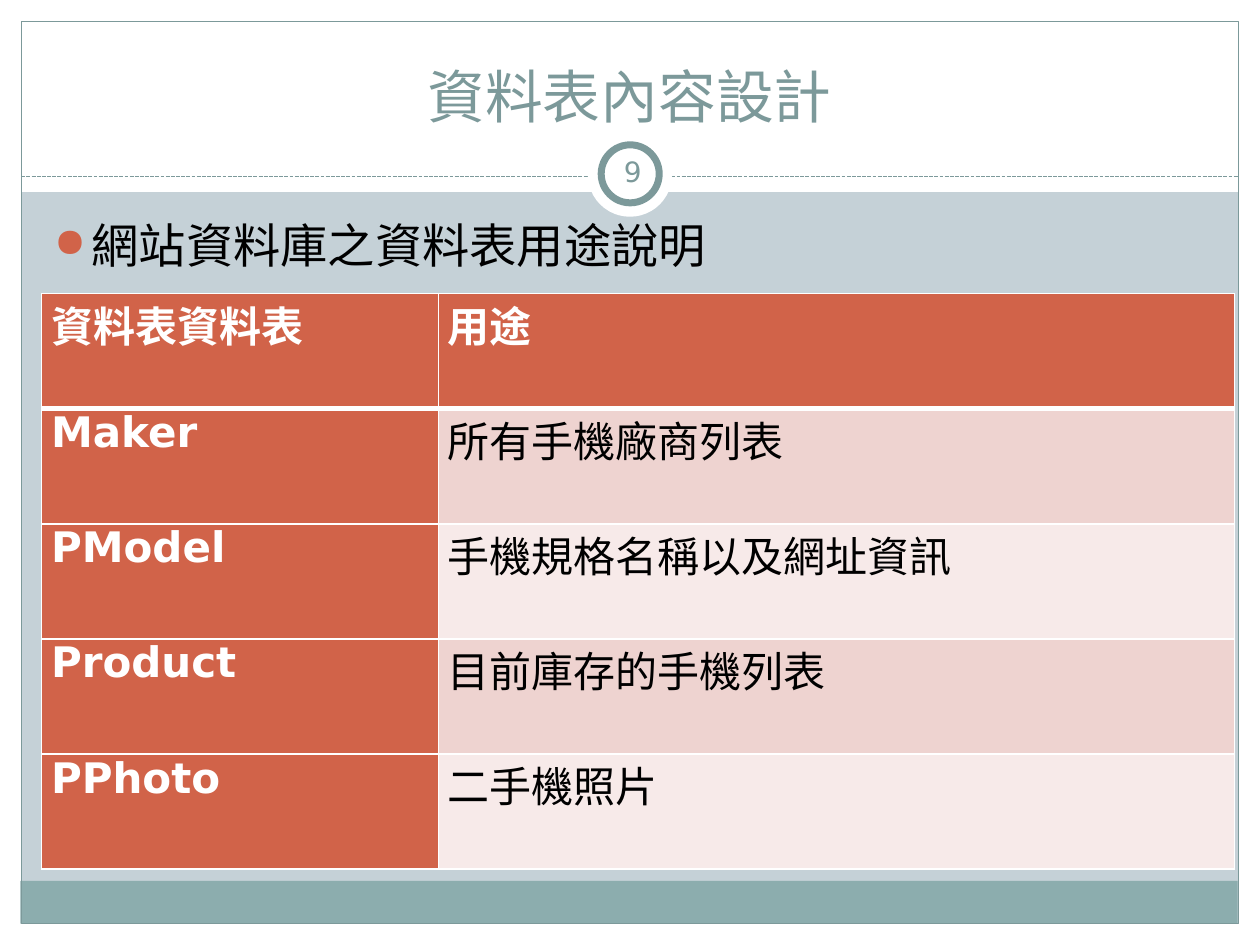
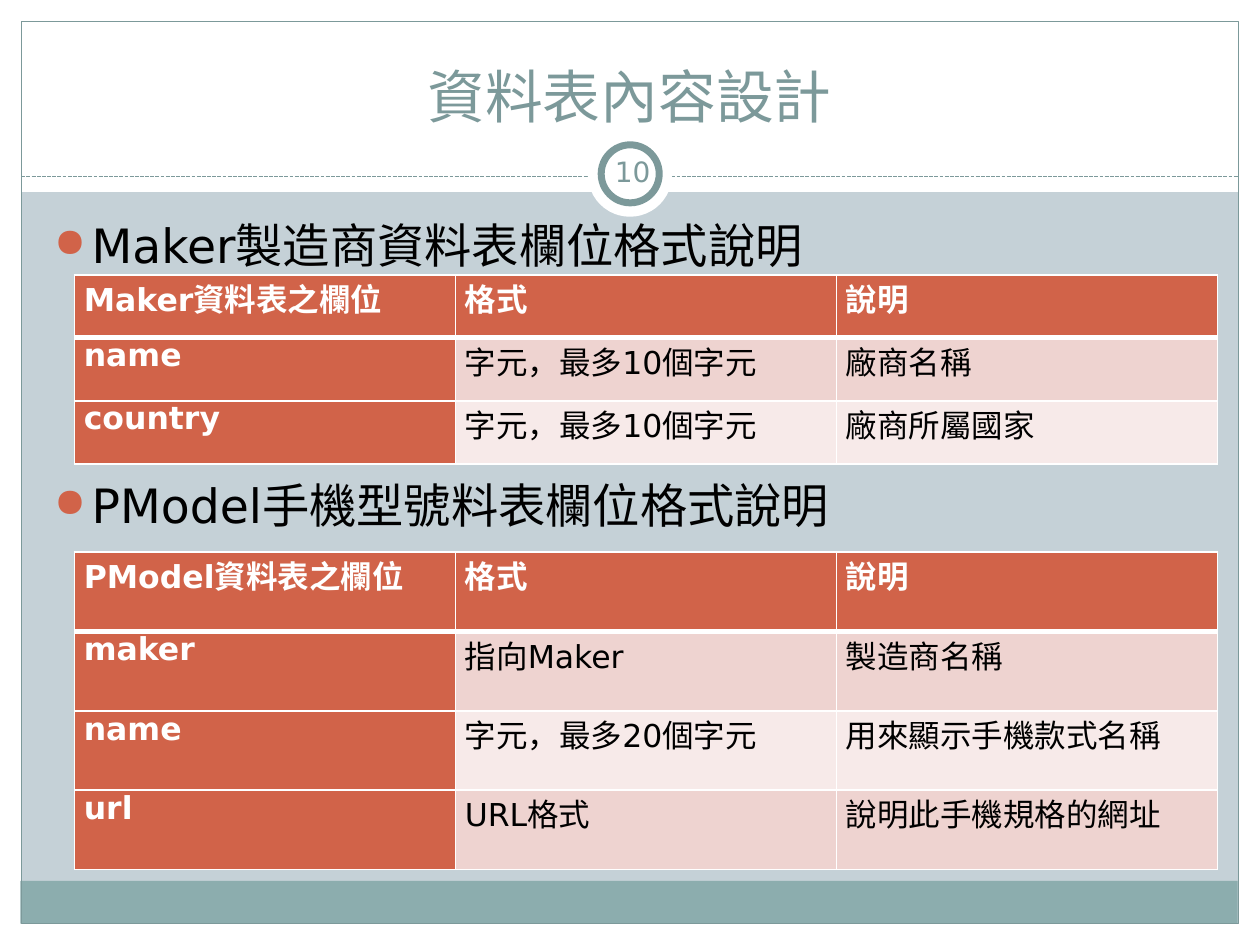
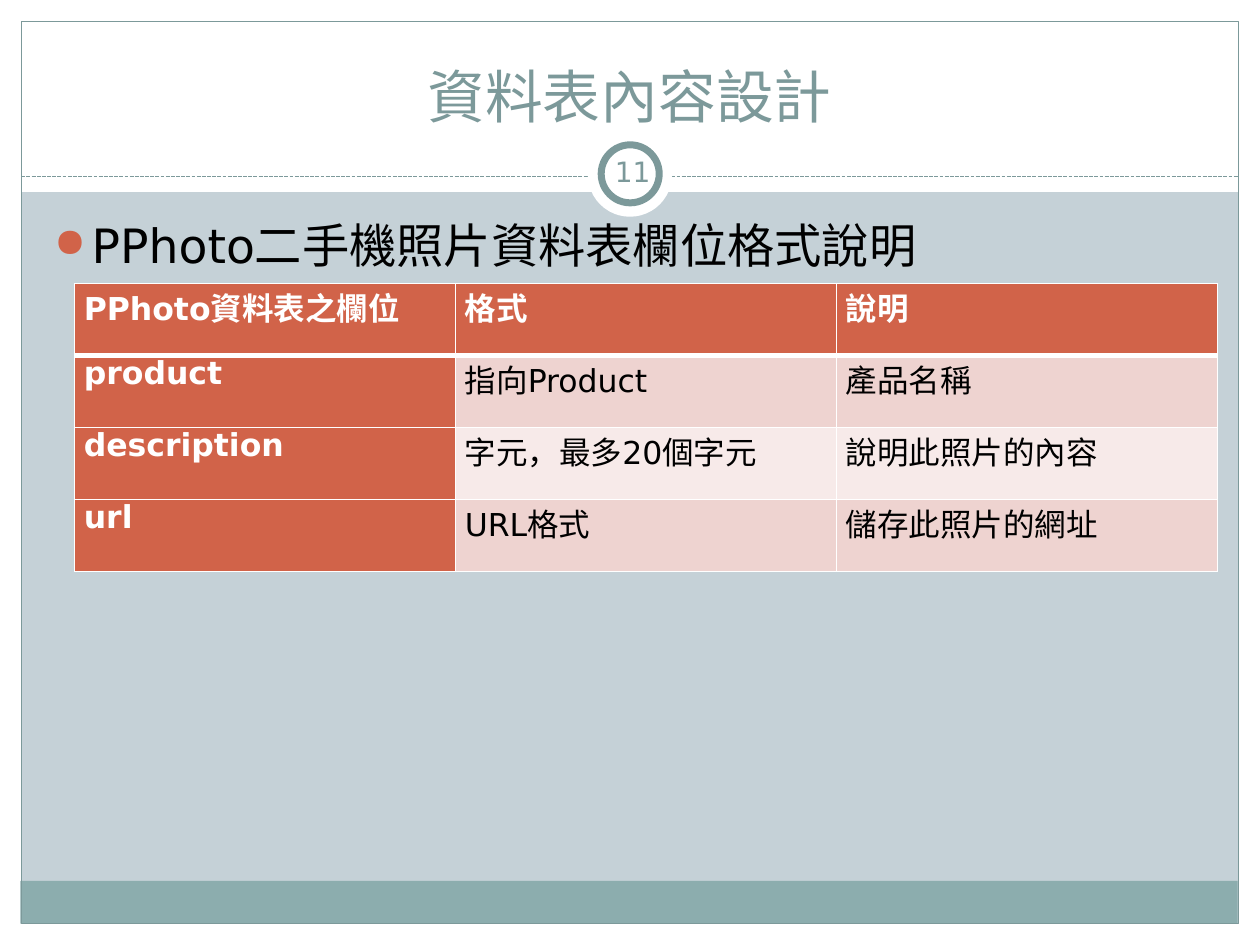
import dataclasses
import typing

import lxml.etree
import pptx
import pptx.dml.color
import pptx.enum.dml
import pptx.enum.shapes
import pptx.enum.text
import pptx.oxml.ns
import pptx.util

Cm = pptx.util.Cm
Pt = pptx.util.Pt
RGB = pptx.dml.color.RGBColor
Shape = pptx.enum.shapes.MSO_SHAPE
Align = pptx.enum.text.PP_ALIGN
Anchor = pptx.enum.text.MSO_ANCHOR
qn = pptx.oxml.ns.qn

WHITE = RGB(0xFF, 0xFF, 0xFF)
BLACK = RGB(0x00, 0x00, 0x00)
BACK = RGB(0xC5, 0xD1, 0xD7)
TEAL = RGB(0x7C, 0x99, 0x9A)
BAND = RGB(0x8C, 0xAD, 0xAE)
RED = RGB(0xD1, 0x63, 0x49)
PINK = RGB(0xEE, 0xD3, 0xD0)
PALE = RGB(0xF7, 0xEA, 0xE9)

FONT = "DejaVu Sans"
TITLE = "資料表內容設計"
WIDTH, HEIGHT = 25.4, 19.05
EDGE = 0.43
RULE = 3.56


@dataclasses.dataclass(frozen=True)
class Box:
    left: float
    top: float
    width: float
    height: float

    def place(self) -> tuple:
        return Cm(self.left), Cm(self.top), Cm(self.width), Cm(self.height)


@dataclasses.dataclass(frozen=True)
class Part:
    """A piece of the frame that every slide shows."""
    kind: typing.Any
    box: Box
    fill: typing.Optional[RGB] = WHITE
    line: float = 0


@dataclasses.dataclass(frozen=True)
class Grid:
    left: float
    top: float
    cols: tuple[float, ...]
    row: float
    rows: list[tuple[str, ...]]
    size: int = 18
    gap: int = 12


@dataclasses.dataclass(frozen=True)
class Page:
    number: int
    points: list[str]
    grids: list[Grid]


PARTS = [
    Part(Shape.RECTANGLE, Box(0, HEIGHT - EDGE, WIDTH, EDGE)),
    Part(Shape.RECTANGLE, Box(0, 0, WIDTH, 3.87)),
    Part(Shape.RECTANGLE, Box(0, 0, EDGE, HEIGHT)),
    Part(Shape.RECTANGLE, Box(WIDTH - EDGE, 0, EDGE, HEIGHT)),
    Part(Shape.RECTANGLE, Box(0.41, 17.76, 24.54, 0.86), BAND),
    Part(Shape.RECTANGLE,
         Box(EDGE, EDGE, WIDTH - 2 * EDGE, HEIGHT - 2 * EDGE), None, 0.75),
]
RINGS = [
    Part(Shape.OVAL, Box(11.85, 2.67, 1.7, 1.7)),
    Part(Shape.OVAL, Box(12.12, 2.92, 1.17, 1.17), WHITE, 4),
]
HEAD = Box(0.84, 0.64, 23.7, 2.11)
COUNT = Box(12.12, 2.84, 1.27, 1.22)
BODY = Box(0.84, 4.24, 23.62, 12.7)
THIRDS = (7.68,) * 3

PAGES = [
    Page(9, ["網站資料庫之資料表用途說明"], [
        Grid(0.84, 5.92, (8.0, 16.05), 2.32, [
            ("資料表資料表", "用途"),
            ("Maker", "所有手機廠商列表"),
            ("PModel", "手機規格名稱以及網址資訊"),
            ("Product", "目前庫存的手機列表"),
            ("PPhoto", "二手機照片"),
        ], size=24, gap=0),
    ]),
    Page(10, ["Maker製造商資料表欄位格式說明",
              "PModel手機型號料表欄位格式說明"], [
        Grid(1.5, 5.54, THIRDS, 1.27, [
            ("Maker資料表之欄位", "格式", "說明"),
            ("name", "字元，最多10個字元", "廠商名稱"),
            ("country", "字元，最多10個字元", "廠商所屬國家"),
        ]),
        Grid(1.5, 11.13, THIRDS, 1.6, [
            ("PModel資料表之欄位", "格式", "說明"),
            ("maker", "指向Maker", "製造商名稱"),
            ("name", "字元，最多20個字元", "用來顯示手機款式名稱"),
            ("url", "URL格式", "說明此手機規格的網址"),
        ]),
    ]),
    Page(11, ["PPhoto二手機照片資料表欄位格式說明"], [
        Grid(1.5, 5.72, THIRDS, 1.45, [
            ("PPhoto資料表之欄位", "格式", "說明"),
            ("product", "指向Product", "產品名稱"),
            ("description", "字元，最多20個字元", "說明此照片的內容"),
            ("url", "URL格式", "儲存此照片的網址"),
        ]),
    ]),
]


def style(para, size: float, color: RGB, align=None, bold: bool = False) -> None:
    para.alignment = align
    font = para.font
    font.name, font.size, font.bold = FONT, Pt(size), bold
    font.color.rgb = color


def draw_part(slide, part: Part) -> None:
    shape = slide.shapes.add_shape(part.kind, *part.box.place())
    shape.shadow.inherit = False
    if part.fill is None:
        shape.fill.background()
    else:
        shape.fill.solid()
        shape.fill.fore_color.rgb = part.fill
    if part.line:
        shape.line.color.rgb = TEAL
        shape.line.width = Pt(part.line)
    else:
        shape.line.fill.background()


def draw_rule(slide) -> None:
    rule = slide.shapes.add_connector(
        pptx.enum.shapes.MSO_CONNECTOR.STRAIGHT,
        Cm(EDGE), Cm(RULE), Cm(WIDTH - EDGE), Cm(RULE))
    rule.line.color.rgb = TEAL
    rule.line.width = Pt(0.75)
    rule.line.dash_style = pptx.enum.dml.MSO_LINE.SQUARE_DOT
    props = rule._element.find(qn("p:spPr"))
    lxml.etree.SubElement(props, qn("a:effectLst"))


def add_text(slide, box: Box, anchor):
    frame = slide.shapes.add_textbox(*box.place()).text_frame
    frame.word_wrap = True
    frame.vertical_anchor = anchor
    return frame


def draw_label(slide, box: Box, text: str, size: float, anchor):
    frame = add_text(slide, box, anchor)
    frame.text = text
    style(frame.paragraphs[0], size, TEAL, Align.CENTER)
    return frame


def draw_frame(slide, number: int) -> None:
    """Draw what all slides share: ground, bands, title and page number."""
    slide.background.fill.solid()
    slide.background.fill.fore_color.rgb = BACK
    for part in PARTS:
        draw_part(slide, part)
    draw_rule(slide)
    for ring in RINGS:
        draw_part(slide, ring)
    draw_label(slide, HEAD, TITLE, 33, Anchor.BOTTOM)
    count = draw_label(slide, COUNT, str(number), 16, Anchor.MIDDLE)
    count.margin_left = count.margin_right = Cm(0.13)


def add_bullet(para) -> None:
    props = para._p.get_or_add_pPr()
    props.set("marL", str(Cm(0.76)))
    props.set("indent", str(Cm(-0.76)))
    color = lxml.etree.SubElement(props, qn("a:buClr"))
    lxml.etree.SubElement(color, qn("a:srgbClr"), val=str(RED))
    lxml.etree.SubElement(props, qn("a:buSzPct"), val="85000")
    lxml.etree.SubElement(props, qn("a:buChar"), char="●")


def draw_points(slide, points: list[str]) -> None:
    frame = add_text(slide, BODY, Anchor.TOP)
    frame.text = "\n".join(points)
    for index, para in enumerate(frame.paragraphs):
        add_bullet(para)
        style(para, 27, BLACK)
        # A later point leaves room for the table above it.
        para.space_before = Pt(116 if index else 5.4)


def add_edges(cell, row: int) -> None:
    """Give a cell white borders, with a thick one below the header."""
    props = cell._tc.get_or_add_tcPr()
    widths = {"lnL": 1, "lnR": 1, "lnT": 3 if row == 1 else 1,
              "lnB": 3 if row == 0 else 1}
    for side, width in widths.items():
        edge = lxml.etree.SubElement(props, qn(f"a:{side}"), w=str(Pt(width)))
        fill = lxml.etree.SubElement(edge, qn("a:solidFill"))
        lxml.etree.SubElement(fill, qn("a:srgbClr"), val=str(WHITE))


def fill_cell(cell, text: str, row: int, col: int, grid: Grid) -> None:
    head = row == 0 or col == 0
    add_edges(cell, row)
    cell.fill.solid()
    cell.fill.fore_color.rgb = RED if head else PINK if row % 2 else PALE
    cell.margin_left = cell.margin_right = Cm(0.19)
    cell.margin_top = cell.margin_bottom = 0
    cell.text = text
    para = cell.text_frame.paragraphs[0]
    style(para, grid.size, WHITE if head else BLACK, Align.JUSTIFY, head)
    para.space_before = para.space_after = Pt(grid.gap)


def draw_grid(slide, grid: Grid) -> None:
    box = Box(grid.left, grid.top, sum(grid.cols), grid.row * len(grid.rows))
    table = slide.shapes.add_table(
        len(grid.rows), len(grid.cols), *box.place()).table
    table.first_row = table.horz_banding = False
    for col, width in zip(table.columns, grid.cols):
        col.width = Cm(width)
    for row, texts in enumerate(grid.rows):
        table.rows[row].height = Cm(grid.row)
        for col, text in enumerate(texts):
            fill_cell(table.cell(row, col), text, row, col, grid)


def main() -> None:
    deck = pptx.Presentation()
    deck.slide_width, deck.slide_height = Cm(WIDTH), Cm(HEIGHT)
    for page in PAGES:
        slide = deck.slides.add_slide(deck.slide_layouts[6])
        draw_frame(slide, page.number)
        draw_points(slide, page.points)
        for grid in page.grids:
            draw_grid(slide, grid)
    deck.save("out.pptx")


if __name__ == "__main__":
    main()
